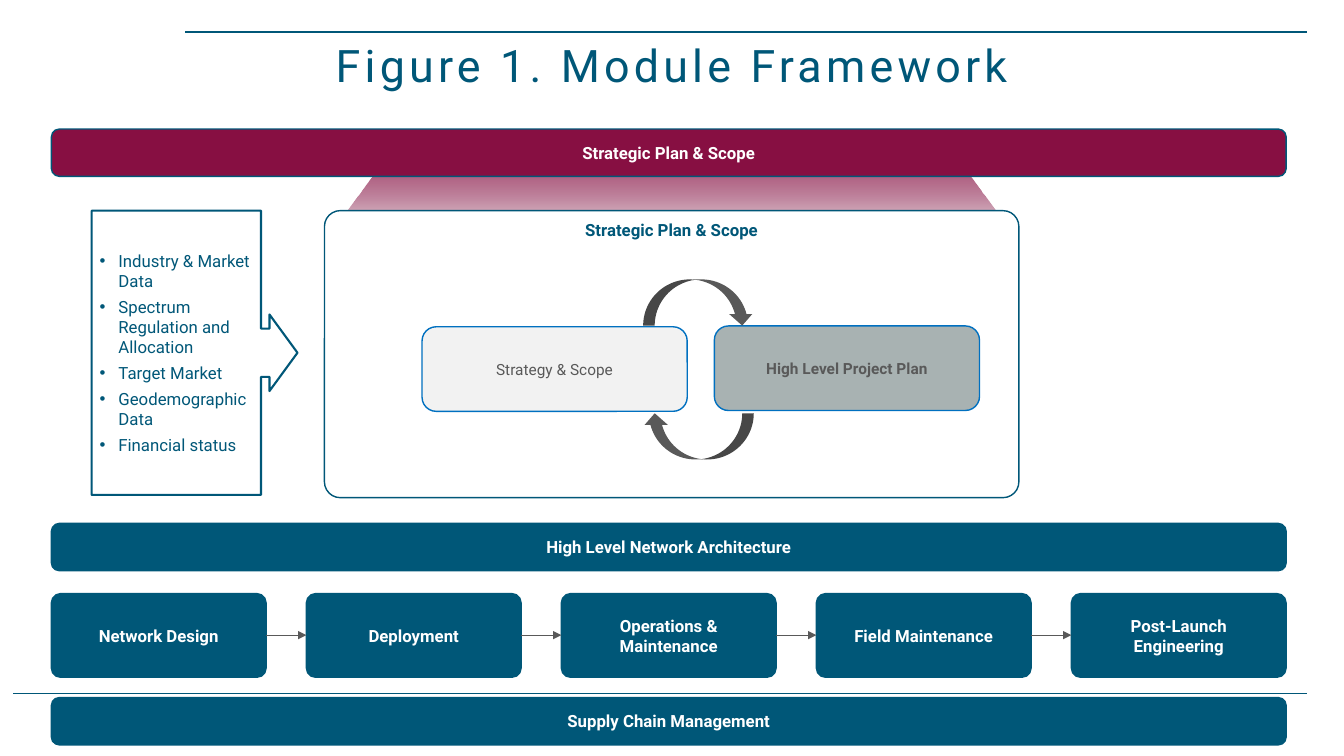
from dataclasses import dataclass

from lxml import etree
from pptx import Presentation
from pptx.dml.color import RGBColor
from pptx.enum.dml import MSO_LINE
from pptx.enum.shapes import MSO_CONNECTOR, MSO_SHAPE
from pptx.enum.text import MSO_ANCHOR, MSO_AUTO_SIZE, PP_ALIGN
from pptx.oxml.ns import qn
from pptx.shapes.autoshape import Shape
from pptx.shapes.connector import Connector
from pptx.slide import Slide
from pptx.text.text import TextFrame
from pptx.util import Pt

ROUNDED = MSO_SHAPE.ROUNDED_RECTANGLE
TRAPEZOID = MSO_SHAPE.TRAPEZOID
CALLOUT = MSO_SHAPE.RIGHT_ARROW_CALLOUT
CURVED_ARROW = MSO_SHAPE.CURVED_DOWN_ARROW
STRAIGHT = MSO_CONNECTOR.STRAIGHT
SOLID = MSO_LINE.SOLID
TOP, MIDDLE, BOTTOM = MSO_ANCHOR.TOP, MSO_ANCHOR.MIDDLE, MSO_ANCHOR.BOTTOM
CENTER, LEFT = PP_ALIGN.CENTER, PP_ALIGN.LEFT
NO_AUTOFIT = MSO_AUTO_SIZE.NONE


@dataclass(frozen=True)
class Theme:
    font: str = "Roboto"
    teal: str = "005778"
    wine: str = "870F42"
    white: str = "FFFFFF"
    pale: str = "F2F2F2"
    silver: str = "A8B2B2"
    blue: str = "0070C0"
    gray: str = "595959"
    title_size: float = 32
    body_size: float = 12
    small_size: float = 11


THEME = Theme()


@dataclass(frozen=True)
class Box:
    text: str
    left: float
    top: float
    width: float
    height: float
    fill: str = THEME.teal
    line: str = THEME.teal
    color: str = THEME.white
    size: float = THEME.body_size
    bold: bool = True
    corner: float = 0.1667
    anchor: MSO_ANCHOR = MIDDLE


@dataclass(frozen=True)
class Rule:
    start: float
    end: float
    y: float
    color: str = THEME.teal
    weight: float = 1
    arrow: bool = False


def rgb(value: str) -> RGBColor:
    return RGBColor.from_string(value)


def add_plain_shape(slide: Slide, kind: MSO_SHAPE, left: float, top: float,
                    width: float, height: float) -> Shape:
    shape = slide.shapes.add_shape(kind, Pt(left), Pt(top), Pt(width), Pt(height))
    shape.shadow.inherit = False
    shape.line.fill.background()
    return shape


def format_text(frame: TextFrame, size: float, color: str, bold: bool,
                alignment: PP_ALIGN) -> None:
    for paragraph in frame.paragraphs:
        paragraph.alignment = alignment
        for run in paragraph.runs:
            run.font.name = THEME.font
            run.font.size = Pt(size)
            run.font.bold = bold
            run.font.color.rgb = rgb(color)


def add_box(slide: Slide, box: Box) -> None:
    shape = add_plain_shape(slide, ROUNDED, box.left, box.top, box.width, box.height)
    shape.adjustments[0] = box.corner
    shape.fill.solid()
    shape.fill.fore_color.rgb = rgb(box.fill)
    shape.line.color.rgb = rgb(box.line)
    shape.line.width = Pt(1)
    frame = shape.text_frame
    frame.text = box.text
    frame.word_wrap = True
    frame.vertical_anchor = box.anchor
    format_text(frame, box.size, box.color, box.bold, CENTER)


def add_rule(slide: Slide, rule: Rule) -> Connector:
    connector = slide.shapes.add_connector(
        STRAIGHT, Pt(rule.start), Pt(rule.y), Pt(rule.end), Pt(rule.y))
    connector.line.color.rgb = rgb(rule.color)
    connector.line.width = Pt(rule.weight)
    connector.line.dash_style = SOLID
    if rule.arrow:
        line = connector.line._get_or_add_ln()
        etree.SubElement(line, qn("a:tailEnd"), type="triangle")
    etree.SubElement(connector._element.spPr, qn("a:effectLst"))
    return connector


def add_title(slide: Slide, text: str) -> None:
    title = slide.shapes.title
    title.left, title.top, title.width, title.height = Pt(0), Pt(26), Pt(960), Pt(43)
    frame = title.text_frame
    frame.text = text
    frame.auto_size = NO_AUTOFIT
    frame.vertical_anchor = BOTTOM
    format_text(frame, THEME.title_size, THEME.teal, False, CENTER)
    frame.paragraphs[0].line_spacing = 0.8
    frame.paragraphs[0].runs[0].font._element.set("spc", "300")


def add_beam(slide: Slide) -> None:
    beam = add_plain_shape(slide, TRAPEZOID, 231.8, 118.8, 496, 54)
    beam.adjustments[0] = 0.735
    beam.fill.gradient()
    beam.fill.gradient_angle = 270
    for stop, color in zip(beam.fill.gradient_stops, (THEME.wine, THEME.pale)):
        stop.color.rgb = rgb(color)
    first_color = next(beam._element.spPr.iter(qn("a:srgbClr")))
    etree.SubElement(first_color, qn("a:alpha"), val="71000")


def add_inputs(slide: Slide, items: list[str]) -> None:
    callout = add_plain_shape(slide, CALLOUT, 65.5, 150.5, 147, 203)
    for index, value in enumerate((0.234, 0.186, 0.136, 0.823)):
        callout.adjustments[index] = value
    callout.fill.background()
    callout.line.color.rgb = rgb(THEME.teal)
    callout.line.width = Pt(1.5)
    frame = callout.text_frame
    frame.text = "\n".join(items)
    frame.word_wrap = True
    frame.vertical_anchor = MIDDLE
    frame.margin_left = frame.margin_right = Pt(5.6)
    frame.margin_top = frame.margin_bottom = Pt(3.6)
    format_text(frame, THEME.body_size, THEME.teal, False, LEFT)
    for paragraph in frame.paragraphs:
        paragraph.space_before = Pt(4)
        properties = paragraph._p.get_or_add_pPr()
        properties.set("marL", str(Pt(13.5)))
        properties.set("indent", str(-Pt(13.5)))
        etree.SubElement(properties, qn("a:buFont"), typeface="Arial")
        etree.SubElement(properties, qn("a:buChar"), char="•")


def add_cycle_arrow(slide: Slide, top: float, rotation: float) -> None:
    arrow = add_plain_shape(slide, CURVED_ARROW, 459.4, top, 79, 33)
    arrow.rotation = rotation
    arrow.fill.solid()
    arrow.fill.fore_color.rgb = rgb(THEME.gray)


BAR_LEFT, BAR_WIDTH, BAR_HEIGHT = 36.7, 882, 33.8
BARS = [
    Box(text, BAR_LEFT, top, BAR_WIDTH, BAR_HEIGHT, fill)
    for text, top, fill in (
        ("Strategic Plan & Scope", 92.2, THEME.wine),
        ("High Level Network Architecture", 373.9, THEME.teal),
        ("Supply Chain Management", 498.3, THEME.teal))
]
PANELS = [
    Box("Strategic Plan & Scope", 231.8, 150.5, 496, 205, THEME.white,
        color=THEME.teal, corner=0.055, anchor=TOP),
    Box("High Level Project Plan", 510.3, 232.8, 189.4, 60.4, THEME.silver,
        THEME.blue, THEME.gray, THEME.small_size),
    Box("Strategy & Scope", 301.5, 233.4, 189.4, 60.4, THEME.pale,
        THEME.blue, THEME.gray, THEME.small_size, False),
]
INPUTS = ["Industry & Market Data", "Spectrum Regulation and Allocation",
          "Target Market", "Geodemographic Data", "Financial status"]
STEPS = ["Network Design", "Deployment", "Operations & Maintenance",
         "Field Maintenance", "Post-Launch Engineering"]
STEP_WIDTH, STEP_TOP, STEP_HEIGHT = 153.4, 424, 59.8
STEP_PITCH = (BAR_WIDTH - STEP_WIDTH) / (len(STEPS) - 1)


def main() -> None:
    presentation = Presentation()
    presentation.slide_width, presentation.slide_height = Pt(960), Pt(540)
    slide = presentation.slides.add_slide(presentation.slide_layouts[5])

    # Title and page rules
    add_title(slide, "Figure 1. Module Framework")
    for rule in (Rule(132.5, 933.5, 23), Rule(9.5, 933.5, 495.3)):
        add_rule(slide, rule)

    # Strategy panel, its inputs and the full-width bars
    add_beam(slide)
    for box in BARS + PANELS:
        add_box(slide, box)
    add_inputs(slide, INPUTS)
    add_cycle_arrow(slide, 199.6, 0)
    add_cycle_arrow(slide, 295.2, 180)

    # Process steps joined by arrows
    for index, step in enumerate(STEPS):
        left = BAR_LEFT + index * STEP_PITCH
        add_box(slide, Box(step, left, STEP_TOP, STEP_WIDTH, STEP_HEIGHT, corner=0.11))
        if index:
            add_rule(slide, Rule(left - STEP_PITCH + STEP_WIDTH, left, 453.7,
                                 THEME.gray, 0.5, True))

    presentation.save("out.pptx")


if __name__ == "__main__":
    main()
